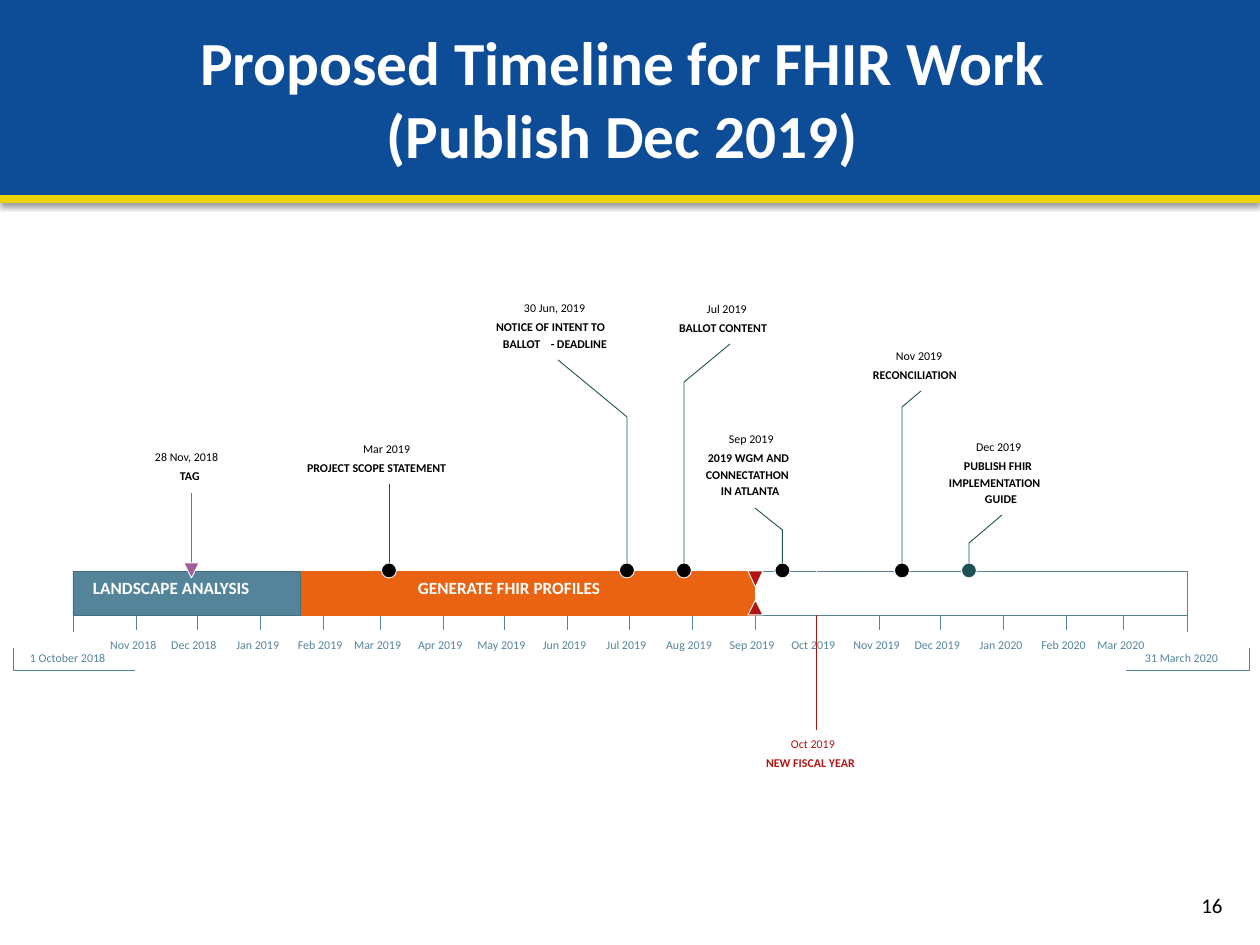
from dataclasses import dataclass
from itertools import accumulate

from lxml import etree
from pptx import Presentation
from pptx import util as u
from pptx.dml.color import RGBColor
from pptx.enum import shapes, text
from pptx.oxml.ns import qn

PX = 914400 / 126


def px(n):
    return u.Emu(round(n * PX))


@dataclass(frozen=True)
class Theme:
    font: str = "Calibri"
    banner: str = "0D4C97"
    rule: str = "ECD208"
    white: str = "FFFFFF"
    black: str = "000000"
    axis: str = "54849A"
    phase_edge: str = "456B7E"
    phase: str = "EA6312"
    leader: str = "1E5155"
    tag: str = "9E5E9B"
    alert: str = "B01513"
    title_size: float = 35
    number_size: float = 12
    phase_size: float = 9.8
    label_size: float = 6.8
    hairline: float = 0.5


class Board:
    def __init__(self, slide, theme):
        self.s, self.t = slide, theme

    def paint(self, sp, fill=None, line=None):
        sp.shadow.inherit = False
        if fill:
            sp.fill.solid()
            sp.fill.fore_color.rgb = RGBColor.from_string(fill)
        else:
            sp.fill.background()
        if line:
            self.stroke(sp, line, self.t.hairline)
        else:
            sp.line.fill.background()

    def stroke(self, sp, color, width):
        sp.line.color.rgb = RGBColor.from_string(color)
        sp.line.width = u.Pt(width)

    def font(self, p, size, color, bold=False):
        f = p.font
        f.name, f.size, f.bold = self.t.font, u.Pt(size), bold
        f.color.rgb = RGBColor.from_string(color)

    def title(self, words, w, h):
        sp = self.s.shapes.title
        sp.left, sp.top, sp.width, sp.height = px(0), px(0), px(w), px(h)
        sp.fill.solid()
        sp.fill.fore_color.rgb = RGBColor.from_string(self.t.banner)
        tf = sp.text_frame
        tf.text = words
        tf.word_wrap = True
        tf.auto_size = text.MSO_AUTO_SIZE.NONE
        tf.vertical_anchor = text.MSO_ANCHOR.MIDDLE
        tf.margin_right = px(28)
        p = tf.paragraphs[0]
        p.alignment = text.PP_ALIGN.CENTER
        self.font(p, self.t.title_size, self.t.white, True)
        sp.element.getparent().append(sp.element)  # in front of the rule

    def shape(self, kind, x, y, w, h, fill, line):
        sp = self.s.shapes.add_shape(kind, px(x), px(y), px(w), px(h))
        self.paint(sp, fill, line)

    def bar(self, x, w, fill, line):
        self.shape(shapes.MSO_SHAPE.RECTANGLE, x, BAR_TOP, w, BAR_BOTTOM - BAR_TOP, fill, line)

    def dot(self, x, fill):
        self.shape(shapes.MSO_SHAPE.OVAL, x - 7.5, LEADER_FOOT, 15, 15, fill, self.t.white)

    def line(self, x1, y1, x2, y2, color, width=None):
        """Draw a straight line and return its empty effect list."""
        c = self.s.shapes.add_connector(
            shapes.MSO_CONNECTOR.STRAIGHT, px(x1), px(y1), px(x2), px(y2))
        self.stroke(c, color, width or self.t.hairline)
        return etree.SubElement(c.element.spPr, qn("a:effectLst"))

    def rule(self, y, w):
        effects = self.line(0, y, w, y, self.t.rule, 6)
        shadow = etree.SubElement(effects, qn("a:outerShdw"), blurRad=str(u.Pt(3.1)),
                                  dist=str(u.Pt(1.6)), dir="5400000", rotWithShape="0")
        color = etree.SubElement(shadow, qn("a:srgbClr"), val=self.t.black)
        etree.SubElement(color, qn("a:alpha"), val="38000")

    def outline(self, points, fill=None, line=None):
        """Draw a freeform; it is closed when it has a fill."""
        first, *rest = [(px(x), px(y)) for x, y in points]
        fb = self.s.shapes.build_freeform(*first)
        fb.add_line_segments(rest, close=bool(fill))
        self.paint(fb.convert_to_shape(), fill, line)

    def triangle(self, x, base, tip, fill):
        self.outline([(x - 7.5, base), (x + 7.5, base), (x, tip)], fill, self.t.white)

    def label(self, words, x, y, w, color, size=None, bold=False, h=18):
        sp = self.s.shapes.add_textbox(px(x), px(y), px(w), px(h))
        tf = sp.text_frame
        tf.margin_left = tf.margin_right = tf.margin_top = tf.margin_bottom = 0
        tf.word_wrap = False
        tf.auto_size = text.MSO_AUTO_SIZE.SHAPE_TO_FIT_TEXT
        tf.text = words
        self.font(tf.paragraphs[0], size or self.t.label_size, color, bold)

    def caption(self, top, rows, color):
        """Stack a plain date over bold lines; a row holds (words, left, width) pieces."""
        for i, row in enumerate(rows):
            y = top + (19 + 16.5 * (i - 1) if i else 0)
            for words, x, w in row:
                self.label(words, x, y, w, color, bold=i > 0)

    def slide_number(self, words):
        sp = self.s.shapes.add_textbox(px(1099), px(880), px(136), px(50))
        tf = sp.text_frame
        tf.word_wrap = True
        tf.vertical_anchor = text.MSO_ANCHOR.MIDDLE
        tf.text = words
        p = tf.paragraphs[0]
        p.alignment = text.PP_ALIGN.RIGHT
        self.font(p, self.t.number_size, self.t.black)


WIDTH, HEIGHT = 1260, 945
BAR_LEFT, BAR_WIDTH, BAR_TOP, BAR_BOTTOM = 73, 1114, 571, 615
BAR_RIGHT = BAR_LEFT + BAR_WIDTH
LEADER_FOOT = 563
SPAN_DAYS = 547  # 1 October 2018 to 31 March 2020
FISCAL_X, PHASE_SPLIT, PHASE_END = 816.5, 301, 755

MONTHS = "Oct Nov Dec Jan Feb Mar Apr May Jun Jul Aug Sep".split()
MONTH_DAYS = [31, 30, 31, 31, 28, 31, 30, 31, 30, 31, 31, 30]
LABEL_WIDTHS = [52, 54, 54, 50, 53, 55, 53, 57, 52, 47, 54, 53]

# dot x, leader points above the dot, caption top, caption rows
MILESTONES = [
    (782.5, [(782.5, 530), (755, 508)], 432,
     [[("Sep 2019", 729, 53)], [("2019 WGM AND", 708, 100)],
      [("CONNECTATHON", 706, 106)], [("IN ATLANTA", 721, 73)]]),
    (389, [(389, 484)], 442,
     [[("Mar 2019", 363, 55)], [("PROJECT SCOPE STATEMENT", 307, 170)]]),
    (627, [(627, 417), (558, 360)], 301,
     [[("30 Jun, 2019", 524, 72)], [("NOTICE OF INTENT TO", 496, 135)],
      [("BALLOT", 503, 49), ("-", 551, 5), ("DEADLINE", 557, 59)]]),
    (684, [(684, 382), (730, 344)], 302,
     [[("Jul 2019", 707, 47)], [("BALLOT CONTENT", 679, 107)]]),
    (902, [(902, 407), (921, 391)], 349,
     [[("Nov 2019", 896, 54)], [("RECONCILIATION", 873, 102)]]),
    (969, [(969, 543), (1002, 515)], 440,
     [[("Dec 2019", 976, 54)], [("PUBLISH FHIR", 964, 84)],
      [("IMPLEMENTATION", 949, 112)], [("GUIDE", 985, 38)]]),
]


def draw_axis(b):
    t = b.t
    b.bar(BAR_LEFT, BAR_WIDTH, t.white, t.axis)
    for x, words, left, w, outer, inner in [
            (BAR_LEFT, "1 October 2018", 30, 89, 13, 135),
            (BAR_RIGHT, "31 March 2020", 1145, 87, 1249, 1126)]:
        b.line(x, BAR_BOTTOM, x, 632, t.axis)
        b.label(words, left, 651, w, t.axis)
        b.outline([(inner, 670), (outer, 670), (outer, 648)], line=t.axis)
    for i, days in enumerate(accumulate((MONTH_DAYS * 2)[:17]), start=1):
        x = BAR_LEFT + days * BAR_WIDTH / SPAN_DAYS
        w = LABEL_WIDTHS[i % 12]
        b.line(x, BAR_BOTTOM, x, 630, t.axis)
        b.label(f"{MONTHS[i % 12]} {2018 + (i + 9) // 12}", x + 1 - w / 2, 638, w, t.axis)


def draw_phases(b):
    t = b.t
    for x, end, fill, edge, words, left, w in [
            (BAR_LEFT, PHASE_SPLIT, t.axis, t.phase_edge, "LANDSCAPE ANALYSIS", 93, 189),
            (PHASE_SPLIT, PHASE_END, t.phase, t.phase, "GENERATE FHIR PROFILES", 418, 220)]:
        b.bar(x, end - x, fill, edge)
        b.label(words, left, 577, w, t.white, t.phase_size, True, 25)
    b.triangle(PHASE_END + 0.5, BAR_BOTTOM, 600, t.alert)
    b.triangle(PHASE_END + 0.5, BAR_TOP, 587, t.alert)


def draw_milestones(b):
    t = b.t
    b.line(FISCAL_X, BAR_BOTTOM, FISCAL_X, 730, t.alert)
    b.line(FISCAL_X, BAR_TOP, FISCAL_X, BAR_BOTTOM, t.white)
    b.caption(737, [[("Oct 2019", 791, 52)], [("NEW FISCAL YEAR", 766, 106)]], t.alert)

    b.line(191.5, LEADER_FOOT, 191.5, 493, t.tag)
    b.triangle(191.5, LEADER_FOOT, 578, t.tag)
    b.caption(450, [[("28 Nov, 2018", 155, 76)], [("TAG", 180, 25)]], t.black)

    for x, points, top, rows in MILESTONES:
        if len(points) == 1:
            b.line(x, LEADER_FOOT, *points[0], t.leader)
        else:
            b.outline([(x, LEADER_FOOT), *points], line=t.leader)
        b.dot(x, t.leader if x == MILESTONES[-1][0] else t.black)
        b.caption(top, rows, t.black)


def main():
    prs = Presentation()
    prs.slide_width, prs.slide_height = px(WIDTH), px(HEIGHT)
    b = Board(prs.slides.add_slide(prs.slide_layouts[5]), Theme())
    b.rule(198, WIDTH)
    b.title("Proposed Timeline for FHIR Work\v(Publish Dec 2019)", WIDTH, 195)
    b.slide_number("16")
    draw_axis(b)
    draw_phases(b)
    draw_milestones(b)
    prs.save("out.pptx")


if __name__ == "__main__":
    main()
